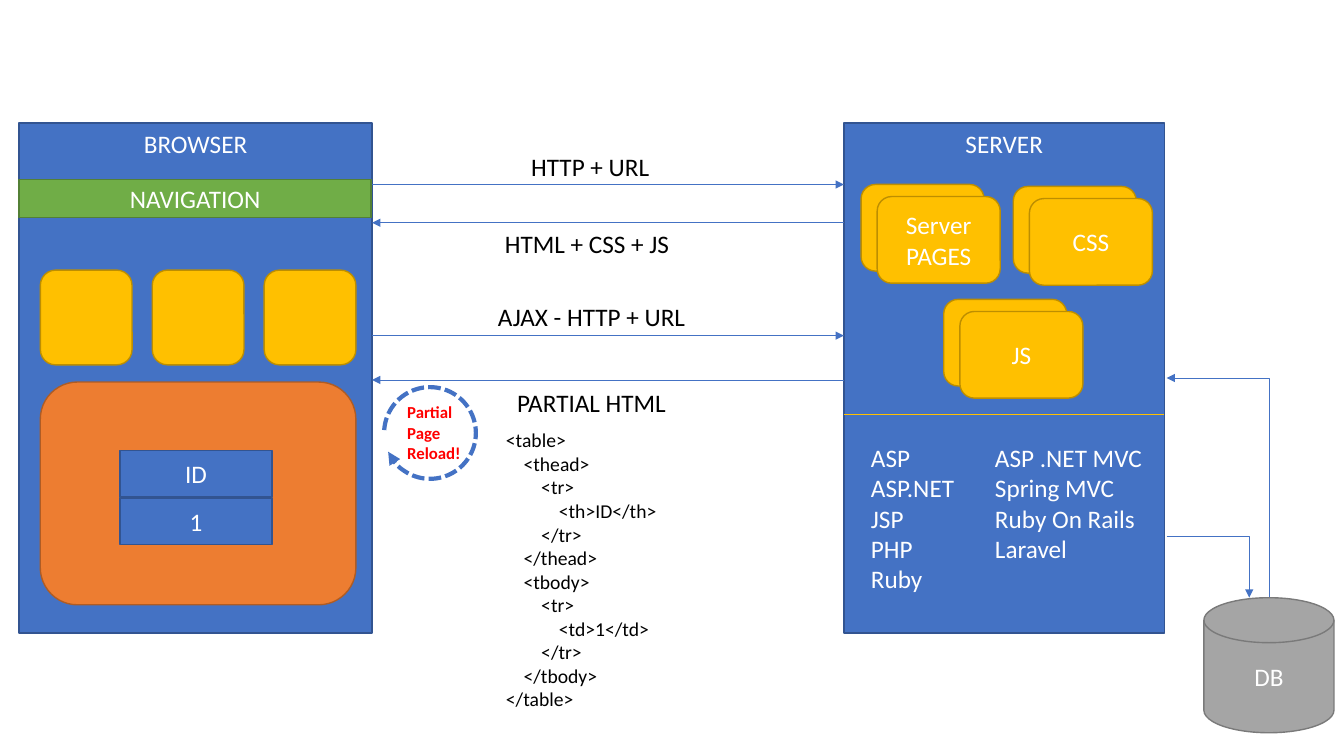
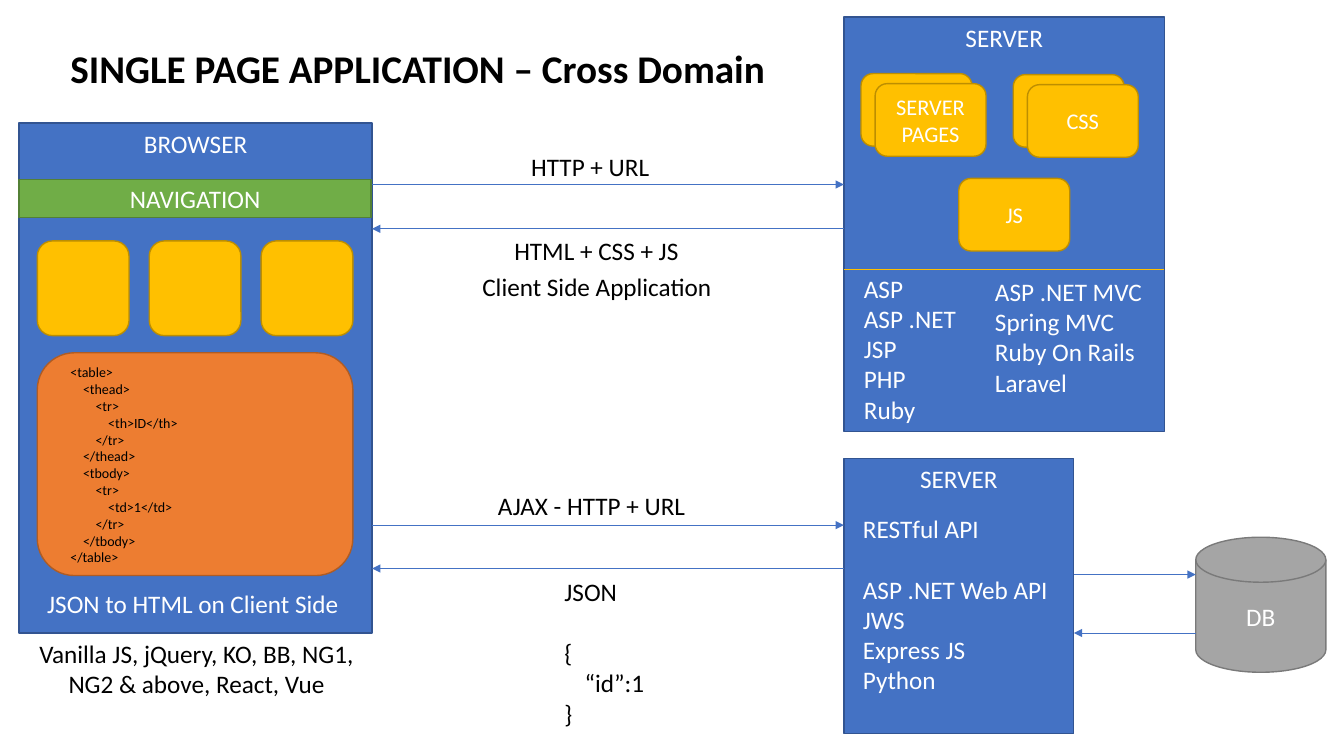
from dataclasses import dataclass

from lxml.etree import SubElement
from pptx import Presentation
from pptx.dml.color import RGBColor
from pptx.enum.dml import MSO_LINE
from pptx.enum.shapes import MSO_CONNECTOR, MSO_SHAPE
from pptx.enum.text import MSO_ANCHOR, MSO_AUTO_SIZE, PP_ALIGN
from pptx.oxml.ns import qn
from pptx.util import Inches, Pt


@dataclass(frozen=True)
class Paint:
    fill: str
    edge: str


@dataclass(frozen=True)
class Theme:
    font: str = "Calibri"
    blue: Paint = Paint("4472C4", "325491")
    green: Paint = Paint("70AD47", "538035")
    gold: Paint = Paint("FFC000", "BD8E00")
    orange: Paint = Paint("ED7D31", "AF5C24")
    gray: Paint = Paint("A5A5A5", "7A7A7A")
    white: str = "FFFFFF"
    black: str = "000000"
    red: str = "FF0000"
    title: int = 28
    body: int = 18
    card: int = 16
    code: int = 14
    note: int = 12
    small_code: int = 10
    edge: float = 1
    wire: float = 0.5
    loop: float = 3


@dataclass(frozen=True)
class Line:
    text: str
    indent: float = 0
    gap: float = 0


THEME = Theme()
BLANK_LAYOUT = 6
LINE_GAP = 22
BROWSER_RIGHT = 3.69
SERVER_LEFT = 8.37
SERVER_WIDTH = 3.18
FRAMEWORKS = ["ASP .NET MVC", "Spring MVC", "Ruby On Rails", "Laravel"]
MARKUP = [
    (0, "<table>"),
    (1, "<thead>"),
    (2, "<tr>"),
    (3, "<th>ID</th>"),
    (2, "</tr>"),
    (1, "</thead>"),
    (1, "<tbody>"),
    (2, "<tr>"),
    (3, "<td>1</td>"),
    (2, "</tr>"),
    (1, "</tbody>"),
    (0, "</table>"),
]


def inches(*lengths):
    return [Inches(length) for length in lengths]


def color(code):
    return RGBColor.from_string(code)


def write(frame, lines, size, ink, align=PP_ALIGN.LEFT, bold=False):
    for index, line in enumerate(lines):
        if isinstance(line, str):
            line = Line(line)
        para = frame.paragraphs[0] if index == 0 else frame.add_paragraph()
        para.alignment = align
        if line.gap:
            para.space_before = Pt(line.gap)
        if line.indent:
            para._p.get_or_add_pPr().set("marL", str(Inches(line.indent)))
        span = para.add_run()
        span.text = line.text
        span.font.name = THEME.font
        span.font.size = Pt(size)
        span.font.bold = bold
        span.font.color.rgb = color(ink)


def add_text(shapes, at, lines, size=THEME.body, ink=THEME.black,
             align=PP_ALIGN.LEFT, bold=False, wrap=False):
    box = shapes.add_textbox(*inches(*at))
    box.text_frame.word_wrap = wrap
    box.text_frame.auto_size = MSO_AUTO_SIZE.SHAPE_TO_FIT_TEXT
    write(box.text_frame, lines, size, ink, align, bold)


def add_block(shapes, at, paint, text="", kind=MSO_SHAPE.RECTANGLE,
              size=THEME.body, anchor=MSO_ANCHOR.MIDDLE):
    block = shapes.add_shape(kind, *inches(*at))
    block.shadow.inherit = False
    block.fill.solid()
    block.fill.fore_color.rgb = color(paint.fill)
    block.line.color.rgb = color(paint.edge)
    block.line.width = Pt(THEME.edge)
    if text:
        block.text_frame.word_wrap = True
        block.text_frame.vertical_anchor = anchor
        write(block.text_frame, [text], size, THEME.white, PP_ALIGN.CENTER)


def add_card(shapes, at, paint=THEME.gold, text="", size=THEME.body):
    add_block(shapes, at, paint, text, MSO_SHAPE.ROUNDED_RECTANGLE, size)


def add_stack(page, left, top, width, height, shift, text, size):
    shapes = page.shapes.add_group_shape().shapes
    add_card(shapes, (left, top, width, height))
    add_card(shapes, (left + shift[0], top + shift[1], width, height), text=text, size=size)


def add_arrowhead(line):
    SubElement(line._get_or_add_ln(), qn("a:tailEnd"), type="triangle")


def add_wire(page, start, end, ink=THEME.blue.fill, arrow=True):
    wire = page.shapes.add_connector(MSO_CONNECTOR.STRAIGHT, *inches(*start, *end))
    wire.line.color.rgb = color(ink)
    wire.line.width = Pt(THEME.wire)
    SubElement(wire._element.spPr, qn("a:effectLst"))
    if arrow:
        add_arrowhead(wire.line)


def add_elbow(page, start, corner, end):
    builder = page.shapes.build_freeform(*inches(*start))
    builder.add_line_segments([inches(*corner), inches(*end)], close=False)
    elbow = builder.convert_to_shape()
    elbow.shadow.inherit = False
    elbow.fill.background()
    elbow.line.color.rgb = color(THEME.blue.fill)
    elbow.line.width = Pt(THEME.wire)
    add_arrowhead(elbow.line)


def add_exchange(page, request_y, response_y):
    add_wire(page, (BROWSER_RIGHT, request_y), (SERVER_LEFT, request_y))
    add_wire(page, (SERVER_LEFT, response_y), (BROWSER_RIGHT, response_y))


def add_panel(page, at, heading):
    add_block(page.shapes, at, THEME.blue, heading, anchor=MSO_ANCHOR.TOP)


def add_browser(page, left, top):
    add_panel(page, (0.19, 1.22, 3.5, 5.06), "BROWSER")
    add_block(page.shapes, (0.19, 1.78, 3.49, 0.38), THEME.green, "NAVIGATION")
    for column in range(3):
        add_card(page.shapes, (left + column * 1.11, top, 0.91, 0.94))
    add_card(page.shapes, (left, top + 1.11, 3.13, 2.21), THEME.orange)


def add_server(page, top, height, divider):
    add_panel(page, (SERVER_LEFT, top, SERVER_WIDTH, height), "SERVER")
    add_wire(page, (SERVER_LEFT, divider), (SERVER_LEFT + SERVER_WIDTH, divider),
             THEME.gold.fill, arrow=False)


def add_database(page, left, top):
    add_block(page.shapes, (left, top, 1.29, 1.34), THEME.gray, "DB",
              MSO_SHAPE.FLOWCHART_MAGNETIC_DISK)


def add_markup(page, at, size):
    step = size * 0.0125
    lines = [Line(text, level * step) for level, text in MARKUP]
    add_text(page.shapes, at, lines, size, wrap=True)


def add_reload(page):
    shapes = page.shapes.add_group_shape().shapes
    loop = shapes.add_shape(MSO_SHAPE.ARC, *inches(3.81, 3.84, 0.91, 0.91))
    loop.shadow.inherit = False
    loop.rotation = 273.6
    loop.adjustments[0] = 162
    loop.adjustments[1] = 145.33
    loop.fill.background()
    loop.line.color.rgb = color(THEME.blue.fill)
    loop.line.width = Pt(THEME.loop)
    loop.line.dash_style = MSO_LINE.SQUARE_DOT
    add_arrowhead(loop.line)
    add_text(shapes, (3.94, 3.94, 0.74, 0.71), ["Partial", "Page", "Reload!"],
             THEME.note, THEME.red, bold=True)


def build_partial_reload(page):
    shapes = page.shapes
    add_server(page, 1.22, 5.06, 4.11)
    for left, top, text in [(8.54, 1.83, "Server PAGES"), (10.05, 1.85, "CSS"), (9.36, 2.97, "JS")]:
        add_stack(page, left, top, 1.22, 0.86, (0.16, 0.12), text, THEME.body)
    add_text(shapes, (8.54, 4.34, 1.03, 1.62), ["ASP", "ASP.NET", "JSP", "PHP", "Ruby"],
             ink=THEME.white)
    add_text(shapes, (9.77, 4.34, 1.78, 1.31), FRAMEWORKS, ink=THEME.white, wrap=True)

    add_browser(page, 0.4, 2.68)
    cells = shapes.add_group_shape().shapes
    for row, text in enumerate(["ID", "1"]):
        add_block(cells, (1.19, 4.47 + row * 0.47, 1.51, 0.46), THEME.blue, text)

    add_exchange(page, 1.83, 2.21)
    add_exchange(page, 3.33, 3.77)
    add_text(shapes, (5.17, 1.45, 1.39, 0.4), ["HTTP + URL"])
    add_text(shapes, (4.91, 2.22, 1.91, 0.4), ["HTML + CSS + JS"])
    add_text(shapes, (4.84, 2.94, 2.08, 0.4), ["AJAX - HTTP + URL"])
    add_text(shapes, (5.03, 3.79, 1.69, 0.4), ["PARTIAL HTML"])
    add_markup(page, (4.92, 4.2, 2.44, 2.93), THEME.code)
    add_reload(page)

    add_elbow(page, (11.57, 5.32), (12.39, 5.32), (12.39, 5.93))
    add_elbow(page, (12.59, 5.93), (12.59, 3.75), (11.57, 3.75))
    add_database(page, 11.94, 5.93)


def build_cross_domain(page):
    shapes = page.shapes
    add_text(shapes, (0.6, 0.39, 7.17, 0.57), ["SINGLE PAGE APPLICATION – Cross Domain"],
             THEME.title, bold=True)

    add_server(page, 0.17, 4.11, 2.67)
    for left, top, text in [(8.54, 0.73, "SERVER PAGES"), (10.05, 0.74, "CSS")]:
        add_stack(page, left, top, 1.1, 0.72, (0.14, 0.1), text, THEME.card)
    add_card(shapes, (9.51, 1.77, 1.1, 0.72), text="JS", size=THEME.card)
    add_text(shapes, (8.47, 2.66, 1.21, 1.62), ["ASP", "ASP .NET", "JSP", "PHP", "Ruby"],
             ink=THEME.white)
    add_text(shapes, (9.77, 2.69, 1.78, 1.31), FRAMEWORKS, ink=THEME.white, wrap=True)

    add_browser(page, 0.37, 2.39)
    add_markup(page, (0.6, 3.56, 2.44, 2.12), THEME.small_code)
    add_text(shapes, (0.37, 5.79, 3.13, 0.4), ["JSON to HTML on Client Side"], ink=THEME.white)
    add_text(shapes, (0.27, 6.28, 3.36, 0.71),
             ["Vanilla JS, jQuery, KO, BB, NG1,", "NG2 & above, React, Vue"],
             align=PP_ALIGN.CENTER)

    add_panel(page, (SERVER_LEFT, 4.55, 2.28, 2.73), "SERVER")
    add_text(shapes, (8.46, 5.04, 2.18, 1.92),
             ["RESTful API", Line("ASP .NET Web API", gap=LINE_GAP), "JWS", "Express JS", "Python"],
             ink=THEME.white)

    add_exchange(page, 1.83, 2.27)
    add_exchange(page, 5.21, 5.64)
    add_text(shapes, (5.17, 1.45, 1.39, 0.4), ["HTTP + URL"])
    add_text(shapes, (4.99, 2.29, 1.85, 0.4), ["HTML + CSS + JS"], align=PP_ALIGN.CENTER)
    add_text(shapes, (4.67, 2.64, 2.5, 0.4), ["Client Side Application"], align=PP_ALIGN.CENTER)
    add_text(shapes, (4.84, 4.82, 2.08, 0.4), ["AJAX - HTTP + URL"])
    add_text(shapes, (5.5, 5.67, 1, 1.62),
             ["JSON", Line("{", gap=LINE_GAP), Line("“id”:1", indent=0.2), "}"])

    add_database(page, 11.86, 5.33)
    add_wire(page, (10.65, 5.7), (11.86, 5.7))
    add_wire(page, (11.86, 6.28), (10.65, 6.28))


def main():
    deck = Presentation()
    deck.slide_width, deck.slide_height = inches(13.33, 7.5)
    for build in (build_partial_reload, build_cross_domain):
        build(deck.slides.add_slide(deck.slide_layouts[BLANK_LAYOUT]))
    deck.save("out.pptx")


if __name__ == "__main__":
    main()
